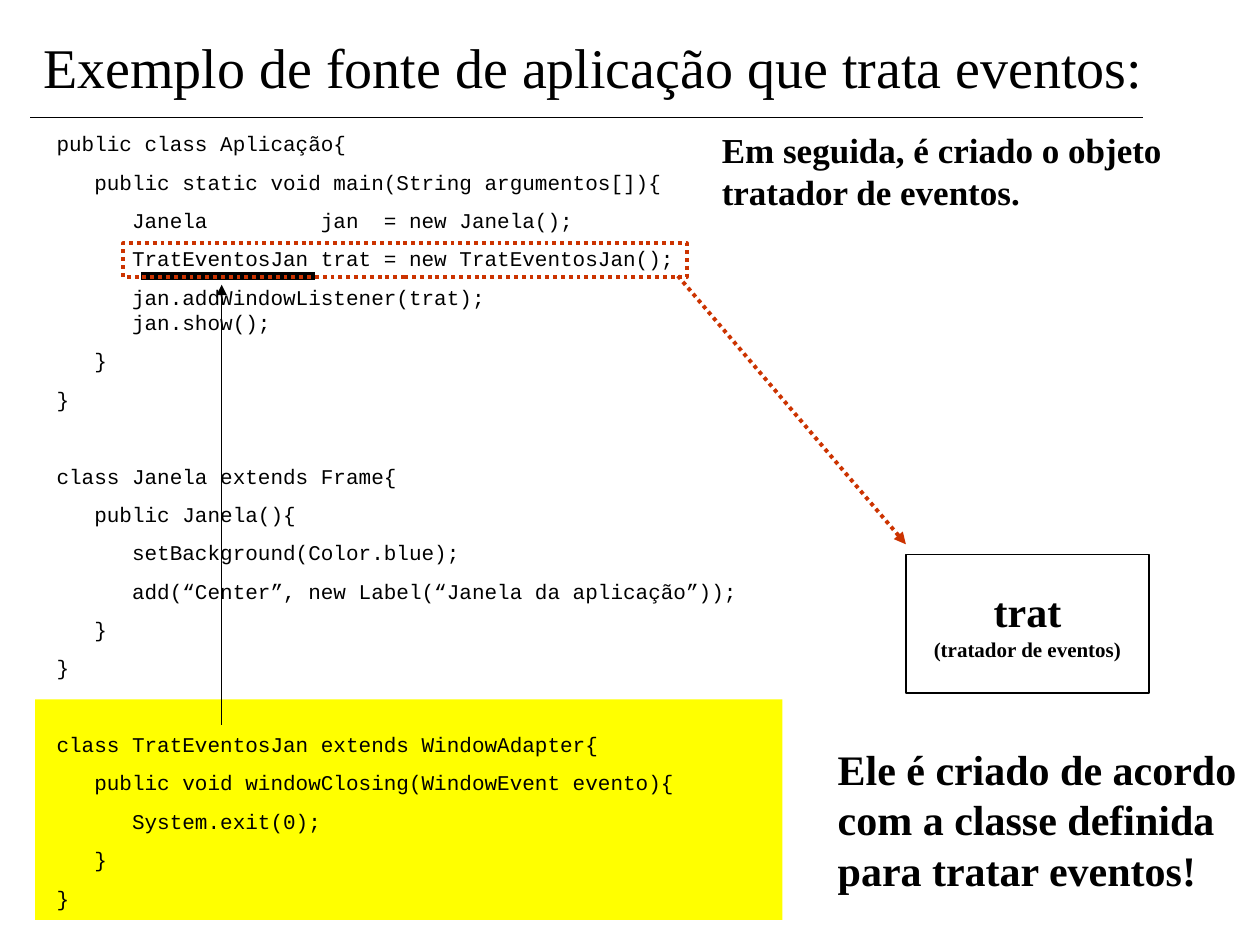
from copy import deepcopy
from dataclasses import dataclass

from pptx import Presentation
from pptx.dml.color import RGBColor
from pptx.enum import dml, shapes, text
from pptx.oxml.ns import qn
from pptx.oxml.xmlchemy import OxmlElement
from pptx.util import Inches, Pt

COLORS = {"ink": "000000", "highlight": "FFFF00", "accent": "CC3300"}
SERIF, MONO = "Times New Roman", "Courier New"
LINE_GAP = 7.5
CLASS_GAP = 29.5

APPLICATION = [
    "public class Aplicação{",
    "   public static void main(String argumentos[]){",
    "      Janela         jan  = new Janela();",
    "      TratEventosJan trat = new TratEventosJan();",
    "      jan.addWindowListener(trat);\n      jan.show();",
    "   }",
    "}",
]
WINDOW = [
    "class Janela extends Frame{",
    "   public Janela(){",
    "      setBackground(Color.blue);",
    "      add(“Center”, new Label(“Janela da aplicação”));",
    "   }",
    "}",
]
HANDLER = [
    "class TratEventosJan extends WindowAdapter{",
    "   public void windowClosing(WindowEvent evento){",
    "      System.exit(0);",
    "   }",
    "}",
]


@dataclass
class Paragraph:
    text: str
    before: float = 0
    caption: str = ""
    caption_size: float = 12


@dataclass
class Box:
    left: float
    top: float
    width: float
    height: float

    def lengths(self):
        return [Inches(v) for v in (self.left, self.top, self.width, self.height)]


@dataclass
class Line:
    start: tuple[float, float]
    end: tuple[float, float]
    color: str = "ink"
    weight: float = 0.75
    dotted: bool = False
    arrow: bool = False


def rgb(name: str) -> RGBColor:
    return RGBColor.from_string(COLORS[name])


def style_line(line, color: str, weight: float, dotted: bool) -> None:
    line.color.rgb = rgb(color)
    line.width = Pt(weight)
    if dotted:
        line.dash_style = dml.MSO_LINE.ROUND_DOT


def draw_line(slide, spec: Line) -> None:
    points = [Inches(v) for v in (*spec.start, *spec.end)]
    connector = slide.shapes.add_connector(shapes.MSO_CONNECTOR.STRAIGHT, *points)
    style_line(connector.line, spec.color, spec.weight, spec.dotted)
    if spec.arrow:
        tail = OxmlElement("a:tailEnd")
        tail.set("type", "triangle")
        connector.line._get_or_add_ln().append(tail)
    connector._element.spPr.append(OxmlElement("a:effectLst"))


def draw_rectangle(slide, box: Box, fill="", line="", weight=0.75, dotted=False):
    rectangle = slide.shapes.add_shape(shapes.MSO_SHAPE.RECTANGLE, *box.lengths())
    rectangle.shadow.inherit = False
    if fill:
        rectangle.fill.solid()
        rectangle.fill.fore_color.rgb = rgb(fill)
    else:
        rectangle.fill.background()
    if line:
        style_line(rectangle.line, line, weight, dotted)
    else:
        rectangle.line.fill.background()
    return rectangle


def write_text(shape, paragraphs: list[Paragraph], *, size: float, font=SERIF,
               bold=False, align=text.PP_ALIGN.LEFT, wrap=True, grow=True) -> None:
    frame = shape.text_frame
    frame.word_wrap = wrap
    if grow:
        frame.auto_size = text.MSO_AUTO_SIZE.SHAPE_TO_FIT_TEXT
    for index, content in enumerate(paragraphs):
        paragraph = frame.add_paragraph() if index else frame.paragraphs[0]
        paragraph.alignment = align
        if content.before:
            paragraph.space_before = Pt(content.before)
        paragraph.text = content.text
        sizes = [size] * len(paragraph.runs)
        if content.caption:
            paragraph.add_line_break()
            paragraph.add_run().text = content.caption
            sizes.append(content.caption_size)
        for run, points in zip(paragraph.runs, sizes):
            run.font.name, run.font.size, run.font.bold = font, Pt(points), bold
            run.font.color.rgb = rgb("ink")
        # Line breaks need the run format too, or they fall back to 18 pt
        for line_break in paragraph._p.findall(qn("a:br")):
            line_break.append(deepcopy(paragraph.runs[0]._r.rPr))


def add_text(slide, box: Box, paragraphs: list[Paragraph], **text_format) -> None:
    write_text(slide.shapes.add_textbox(*box.lengths()), paragraphs, **text_format)


def code_paragraphs(*classes: list[str]) -> list[Paragraph]:
    """Space lines evenly, with a wider gap between classes."""
    listing = [Paragraph(line, LINE_GAP if row else CLASS_GAP)
               for lines in classes for row, line in enumerate(lines)]
    listing[0].before = 0
    return listing


def main() -> None:
    deck = Presentation()
    deck.slide_width, deck.slide_height = Inches(10), Inches(7.5)
    slide = deck.slides.add_slide(deck.slide_layouts[6])

    draw_rectangle(slide, Box(0.28, 5.55, 5.93, 1.75), fill="highlight")
    draw_line(slide, Line((1.76, 5.75), (1.76, 2.26), arrow=True))
    draw_line(slide, Line((1.12, 2.19), (2.5, 2.19), weight=4.5))
    add_text(slide, Box(6.55, 5.85, 3.42, 1.3),
             [Paragraph("Ele é criado de acordo\ncom a classe definida\npara tratar eventos!")],
             size=24, bold=True)

    handler_object = draw_rectangle(slide, Box(7.19, 4.4, 1.93, 1.1), line="ink")
    write_text(handler_object, [Paragraph("trat", caption="(tratador de eventos)")],
               size=24, bold=True, align=text.PP_ALIGN.CENTER, wrap=False, grow=False)
    draw_line(slide, Line((5.38, 2.19), (7.19, 4.32), "accent", 2.25, dotted=True, arrow=True))

    add_text(slide, Box(0.35, 0.99, 5.85, 6.59),
             code_paragraphs(APPLICATION, WINDOW, HANDLER), size=12, font=MONO)
    add_text(slide, Box(5.63, 0.97, 3.99, 0.77),
             [Paragraph("Em seguida, é criado o objeto"), Paragraph("tratador de eventos.")],
             size=20, bold=True)
    draw_rectangle(slide, Box(0.98, 1.93, 4.47, 0.27), line="accent", weight=2.25, dotted=True)
    draw_line(slide, Line((0.24, 0.93), (9.07, 0.93)))
    add_text(slide, Box(0, 0.21, 9.42, 0.64),
             [Paragraph("Exemplo de fonte de aplicação que trata eventos:")],
             size=32, align=text.PP_ALIGN.CENTER)

    deck.save("out.pptx")


if __name__ == "__main__":
    main()
